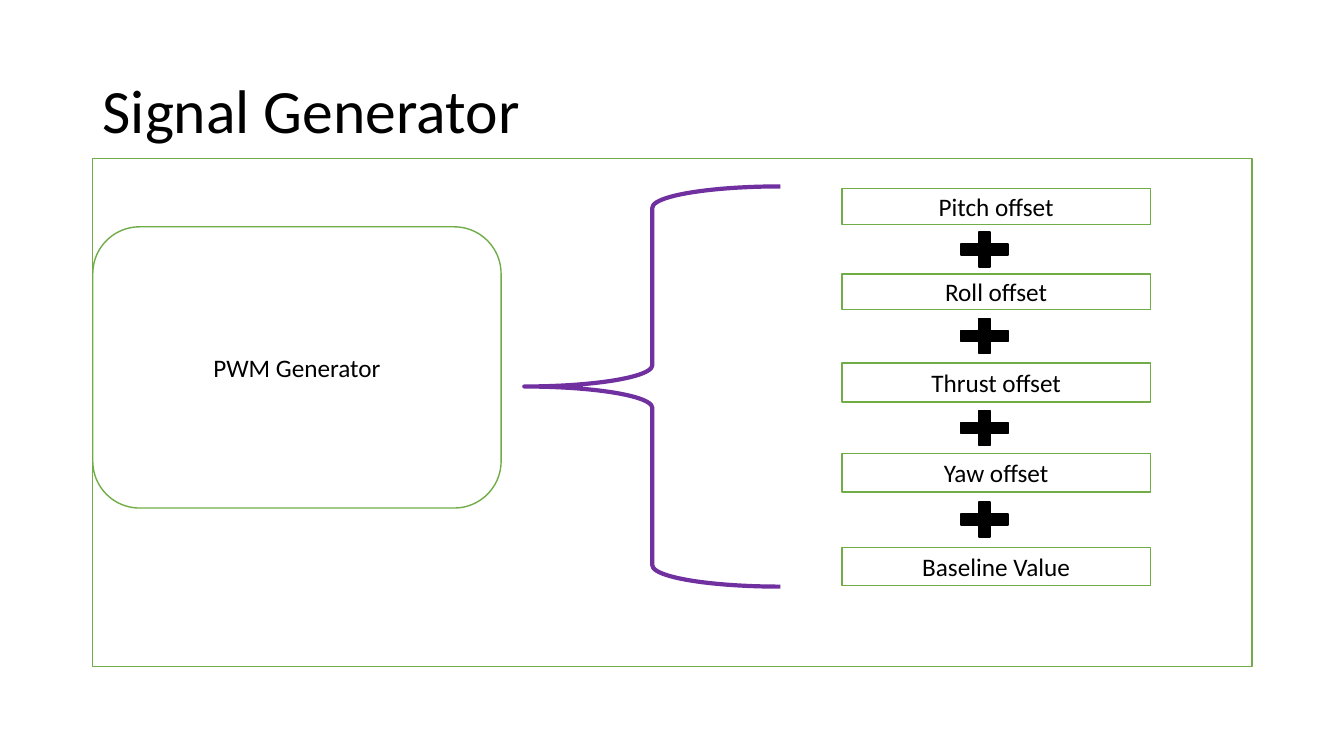
"""Build the Signal Generator slide: a PWM generator fed by a sum of offsets."""
from dataclasses import dataclass
from itertools import pairwise

from pptx import Presentation
from pptx.dml.color import RGBColor
from pptx.enum.shapes import MSO_SHAPE
from pptx.enum.text import MSO_ANCHOR, PP_ALIGN
from pptx.util import Inches, Pt


@dataclass(frozen=True)
class Theme:
    font: str = "Calibri"
    title_size: int = 44
    label_size: int = 18
    text: str = "000000"
    paper: str = "FFFFFF"
    outline: str = "70AD47"
    brace: str = "7030A0"
    thin: int = 1
    thick: int = 3


THEME = Theme()
TITLE = "Signal Generator"
GENERATOR = "PWM Generator"
TERMS = [
    ("Pitch offset", 1.87, 0.36),
    ("Roll offset", 2.72, 0.35),
    ("Thrust offset", 3.6, 0.39),
    ("Yaw offset", 4.5, 0.38),
    ("Baseline Value", 5.43, 0.38),
]
TITLE_BOX = (0.92, 0.4, 11.5, 1.45)
FRAME_BOX = (0.92, 1.57, 11.5, 5.04)
GENERATOR_BOX = (0.92, 2.25, 4.05, 2.79)
BRACE_BOX = (5.2, 1.85, 2.54, 3.97)
TERM_LEFT, TERM_WIDTH = 8.35, 3.06
PLUS_LEFT, PLUS_WIDTH, PLUS_HEIGHT = 9.45, 0.63, 0.47


def write(shape, text, size, align):
    frame = shape.text_frame
    frame.word_wrap = True
    frame.vertical_anchor = MSO_ANCHOR.MIDDLE
    paragraph = frame.paragraphs[0]
    paragraph.alignment = align
    run = paragraph.add_run()
    run.text = text
    run.font.name = THEME.font
    run.font.size = Pt(size)
    run.font.color.rgb = RGBColor.from_string(THEME.text)
    return paragraph


def add_shape(slide, kind, box, fill=THEME.paper, line=THEME.outline,
              weight=THEME.thin, label=None):
    shape = slide.shapes.add_shape(kind, *map(Inches, box))
    shape.shadow.inherit = False
    if fill:
        shape.fill.solid()
        shape.fill.fore_color.rgb = RGBColor.from_string(fill)
    else:
        shape.fill.background()
    shape.line.color.rgb = RGBColor.from_string(line)
    shape.line.width = Pt(weight)
    if label:
        write(shape, label, THEME.label_size, PP_ALIGN.CENTER)


prs = Presentation()
prs.slide_width, prs.slide_height = Inches(13.33), Inches(7.5)
slide = prs.slides.add_slide(prs.slide_layouts[6])

title = slide.shapes.add_textbox(*map(Inches, TITLE_BOX))
write(title, TITLE, THEME.title_size, PP_ALIGN.LEFT).line_spacing = 0.9

add_shape(slide, MSO_SHAPE.RECTANGLE, FRAME_BOX)

for name, top, height in TERMS:
    add_shape(slide, MSO_SHAPE.RECTANGLE,
              (TERM_LEFT, top, TERM_WIDTH, height), label=name)

for (_, top, height), (_, next_top, _) in pairwise(TERMS):
    plus_top = (top + height + next_top - PLUS_HEIGHT) / 2
    add_shape(slide, MSO_SHAPE.MATH_PLUS,
              (PLUS_LEFT, plus_top, PLUS_WIDTH, PLUS_HEIGHT),
              fill=THEME.text, line=THEME.text)

add_shape(slide, MSO_SHAPE.LEFT_BRACE, BRACE_BOX, fill=None,
          line=THEME.brace, weight=THEME.thick)
add_shape(slide, MSO_SHAPE.ROUNDED_RECTANGLE, GENERATOR_BOX, label=GENERATOR)

prs.save("out.pptx")
